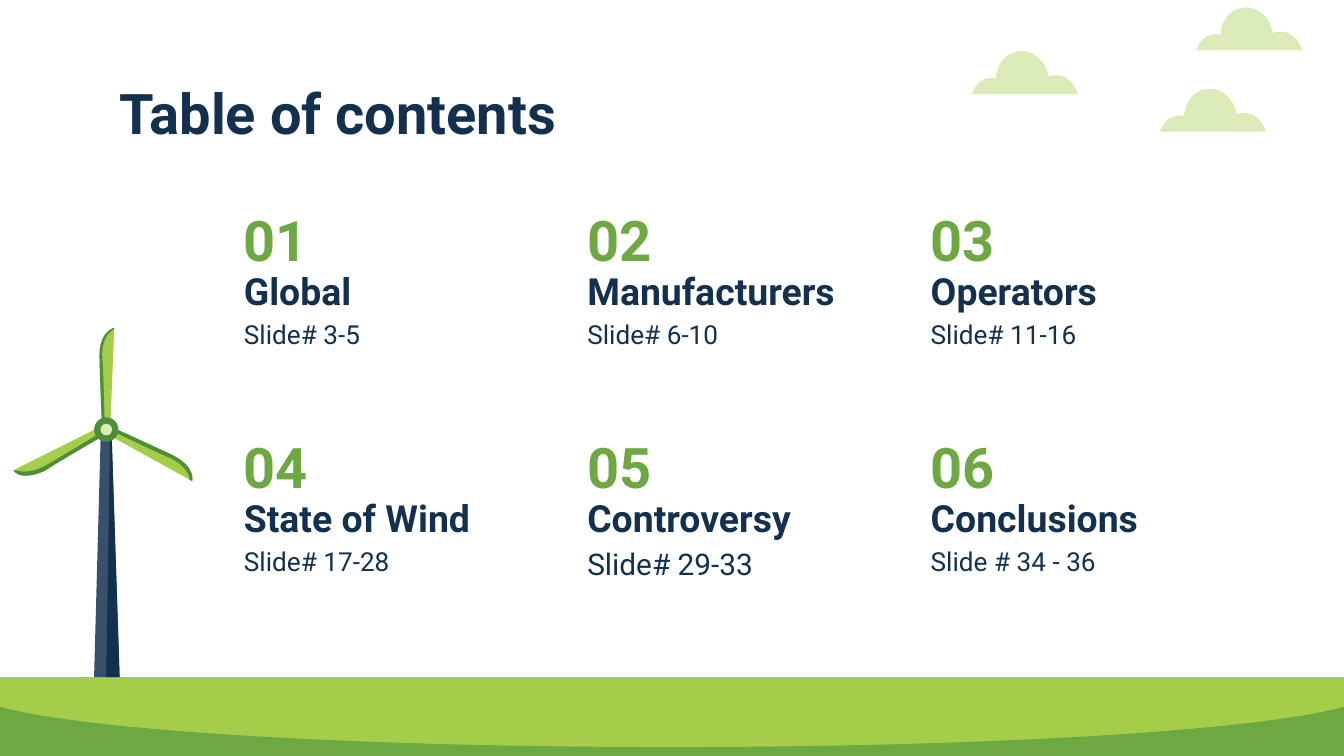
from lxml.etree import Element
from pptx import Presentation
from pptx.dml.color import RGBColor
from pptx.enum.shapes import MSO_SHAPE
from pptx.enum.text import MSO_ANCHOR, MSO_AUTO_SIZE, PP_ALIGN
from pptx.oxml.ns import qn
from pptx.util import Cm, Pt

COLORS = {
    "navy": "13304E", "slate": "38516A", "green": "6EA843",
    "lime": "A4CD49", "dark green": "4E8D3A", "pale": "DBEBB7",
}
UNIT = Cm(0.0254)  # outlines are drawn on a grid of hundredths of an inch


def put_text(sp, box, text, size, color, bold=True, anchor=MSO_ANCHOR.TOP, spacing=1.15):
    """Place a shape at box (cm) and fill it with one formatted line."""
    for name, value in zip(("left", "top", "width", "height"), box):
        setattr(sp, name, Cm(value))
    tf = sp.text_frame
    frame = {"word_wrap": True, "auto_size": MSO_AUTO_SIZE.NONE, "vertical_anchor": anchor}
    for side in ("left", "top", "right", "bottom"):
        frame[f"margin_{side}"] = Cm(0.25)
    for name, value in frame.items():
        setattr(tf, name, value)
    p = tf.paragraphs[0]
    p.alignment = PP_ALIGN.LEFT
    p.line_spacing = spacing
    r = p.add_run()
    r.text = text
    for name, value in {"name": "Roboto", "size": Pt(size), "bold": bold}.items():
        setattr(r.font, name, value)
    r.font.color.rgb = RGBColor.from_string(COLORS[color])


def draw(shapes, color, outline, dx=0, dy=0):
    """Fill a closed outline: pairs are corners, sextuples are Bezier curves."""
    ends = [(round((seg[-2] + dx) * UNIT), round((seg[-1] + dy) * UNIT)) for seg in outline]
    builder = shapes.build_freeform(*ends[0], scale=1.0)
    builder.add_line_segments(ends[1:], close=True)
    sp = builder.convert_to_shape()
    left, top = min(x for x, y in ends), min(y for x, y in ends)
    steps = list(sp._element.find(".//" + qn("a:path")))
    for step, seg in zip(steps, outline):
        if len(seg) == 6:
            step.tag = qn("a:cubicBezTo")
            for i in (0, 2):
                pt = Element(qn("a:pt"))
                pt.set("x", str(round((seg[i] + dx) * UNIT) - left))
                pt.set("y", str(round((seg[i + 1] + dy) * UNIT) - top))
                step.insert(i // 2, pt)
    sp.shadow.inherit = False
    sp.fill.solid()
    sp.fill.fore_color.rgb = RGBColor.from_string(COLORS[color])
    sp.line.fill.background()


prs = Presentation()
prs.slide_width, prs.slide_height = Cm(25.4), Cm(14.29)
s = prs.slides.add_slide(prs.slide_layouts[5])

# Meadow
draw(s.shapes, "lime", [(0, 504), (0, 562.5), (1000, 562.5), (1000, 504)])
draw(s.shapes, "green", [(0, 526), (0, 562.5), (1000, 562.5), (1000, 526),
                         (934, 544, 735, 556, 500, 556), (265, 556, 66, 544, 0, 526)])

put_text(s.shapes.title, (2.01, 1.24, 21.41, 1.6), "Table of contents", 30, "navy", spacing=1.0)

# Sections in a grid of three columns
sections = [
    ("Global", "Slide# 3-5", 14), ("Manufacturers", "Slide# 6-10", 14),
    ("Operators", "Slide# 11-16", 14), ("State of Wind", "Slide# 17-28", 14),
    ("Controversy", "Slide# 29-33", 16), ("Conclusions", "Slide # 34 - 36", 14),
]
for i, (name, pages, pages_size) in enumerate(sections):
    row, col = divmod(i, 3)
    x, dy = 4.36 + 6.49 * col, 4.29 * row
    for text, top, width, height, size, color, bold, anchor in (
        (pages, 5.68, 6.07, 1.78, pages_size, "navy", False, MSO_ANCHOR.TOP),
        (f"{i + 1:02}", 3.7, 2.36, 1.7, 30, "green", True, MSO_ANCHOR.BOTTOM),
        (name, 5.09, 6.07, 1.07, 20, "navy", True, MSO_ANCHOR.BOTTOM),
    ):
        sp = s.shapes.add_textbox(0, 0, 0, 0)
        put_text(sp, (x, top + dy, width, height), text, size, color, bold, anchor)

# Wind turbine: tower, then each blade with its darker edge, then the hub
turbine = s.shapes.add_group_shape().shapes
right_tip = [(143, 358), (143, 358, 146, 348, 129, 339), (121, 335, 79, 316, 79, 316)]
left_tip = [(10, 350), (10, 350, 12, 354, 19, 354), (23, 354, 28, 353, 34, 350),
            (41, 345, 81, 322, 81, 322)]
top_tip = [(85, 244), (85, 244, 74, 246, 74, 265), (74, 274, 76, 320, 76, 320)]
for color, outline in (
    ("slate", [(75, 321), (70, 504), (89, 504), (83, 321)]),
    ("navy", [(82, 321), (79, 504), (89, 504), (83, 321)]),
    ("lime", [(79, 316), (76, 321), *right_tip]),
    ("dark green", [(79, 316), (78, 318), (84, 321, 119, 338, 127, 341),
                    (138, 347, 141, 353, 141, 357), *right_tip]),
    ("lime", [(78, 316), *left_tip]),
    ("dark green", [(80, 319), (75, 322, 40, 343, 33, 347), (27, 350, 22, 351, 18, 351),
                    (15, 351, 13, 350, 11, 350), *left_tip]),
    ("lime", [*top_tip, (82, 320)]),
    ("dark green", [*top_tip, (78, 320), (78, 320, 77, 274, 76, 265),
                    (76, 252, 81, 247, 85, 245)]),
):
    draw(turbine, color, outline)
for color, radius in (("dark green", 0.23), ("pale", 0.11)):
    sp = turbine.add_shape(MSO_SHAPE.OVAL, Cm(2.01 - radius), Cm(8.12 - radius),
                           Cm(2 * radius), Cm(2 * radius))
    sp.shadow.inherit = False
    sp.fill.solid()
    sp.fill.fore_color.rgb = RGBColor.from_string(COLORS[color])
    sp.line.fill.background()

# Clouds
cloud = [(37, 0), (28, 0, 19, 7, 18, 20.5), (16.5, 20, 15, 20, 14, 20), (4, 20, 0, 32, 0, 32),
         (79, 32), (79, 32, 75, 18, 63, 18), (61, 18, 59, 18.5, 57, 19), (55, 7, 46, 0, 37, 0)]
for dx, dy in ((890, 5.5), (723, 38), (863, 66)):
    draw(s.shapes, "pale", cloud, dx, dy)

prs.save("out.pptx")
